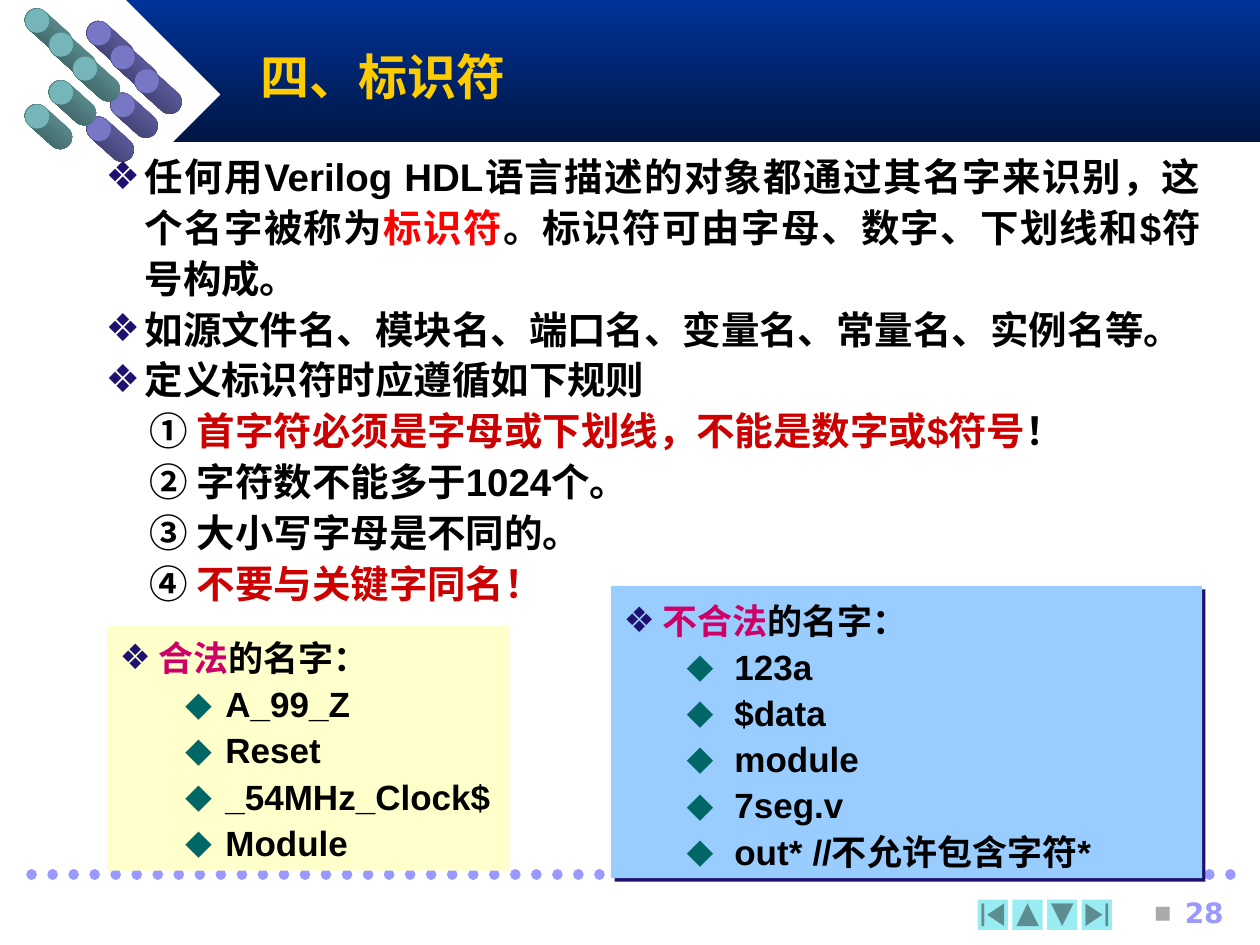
from typing import NamedTuple, Optional
from lxml.etree import SubElement as Sub
from pptx import Presentation
from pptx.dml.color import RGBColor as RGB
from pptx.enum.dml import MSO_LINE as Dash
from pptx.enum.shapes import MSO_CONNECTOR as Conn, MSO_SHAPE as Geo
from pptx.enum.text import MSO_ANCHOR as Anchor, PP_ALIGN as Align
from pptx.oxml.ns import qn
from pptx.util import Inches, Pt

WHITE = RGB(255, 255, 255)
BLACK = RGB(0, 0, 0)
NAVY = RGB(0x00, 0x33, 0x99)
NIGHT = RGB(0x00, 0x16, 0x44)
LILAC = RGB(0x99, 0x99, 0xFF)
AQUA = RGB(0x98, 0xEC, 0xF2)
GOLD = RGB(0xFF, 0xCC, 0x00)
RED = RGB(0xFF, 0, 0)
BRICK = RGB(0xCC, 0, 0)
PINK = RGB(0xCC, 0, 0x66)
INDIGO = RGB(0x1E, 0x11, 0x6F)
GREEN = RGB(0, 0x66, 0x66)
SKY = RGB(0x99, 0xCC, 0xFF)
CREAM = RGB(0xFF, 0xFF, 0xCC)
GREY = RGB(0xAA, 0xAA, 0xAA)
HAN = "Noto Sans CJK SC"


class Tone(NamedTuple):
    face: RGB
    light: RGB
    dark: RGB


class Mark(NamedTuple):
    char: str
    color: RGB
    size: int = 100


class Run(NamedTuple):
    text: str
    color: RGB = BLACK


class Para(NamedTuple):
    runs: list
    left: float = 0
    hang: float = 0
    mark: Optional[Mark] = None
    align: Align = Align.LEFT
    space: float = 1.1


TEAL = Tone(RGB(0x76, 0xB6, 0xBA), RGB(0x70, 0xA8, 0xAC), RGB(0x2C, 0x4C, 0x4E))
PLUM = Tone(RGB(0x77, 0x77, 0xC6), RGB(0x70, 0x70, 0xBC), RGB(0x30, 0x30, 0x58))
CROSS = Mark("❖", INDIGO)
GEM = Mark("⬥", GREEN, 110)


def put(item, values: dict) -> None:
    for name, value in values.items():
        setattr(item, name, value)


def box(at: tuple):
    return [Inches(v) for v in at]


def shape(slide, geo: Geo, at: tuple, color: RGB, turn: float = 0):
    item = slide.shapes.add_shape(geo, *box(at))
    item.fill.solid()
    item.fill.fore_color.rgb = color
    item.line.fill.background()
    item.shadow.inherit = False
    item.rotation = turn
    return item


def fade(item, angle: float, first: RGB, last: RGB) -> None:
    item.fill.gradient()
    item.fill.gradient_angle = angle
    for stop, pos, color in zip(item.fill.gradient_stops, (0, 1), (first, last)):
        stop.position = pos
        stop.color.rgb = color


def rod(slide, x: float, y: float, tone: Tone) -> None:
    size, long, dx, dy = 0.19, 0.44, 0.09, 0.08
    mid = x + size / 2 + dx
    body = shape(slide, Geo.ROUNDED_RECTANGLE,
                 (mid - long / 2, y + dy, long, size), tone.light, 42)
    body.adjustments[0] = 0.5
    fade(body, 270, tone.light, tone.dark)
    shape(slide, Geo.OVAL, (x, y, size, size), tone.face)


def bullet(para, mark: Mark) -> None:
    props = para._p.get_or_add_pPr()
    Sub(Sub(props, qn("a:buClr")), qn("a:srgbClr"), val=str(mark.color))
    Sub(props, qn("a:buSzPct"), val=str(mark.size * 1000))
    Sub(props, qn("a:buFont"), typeface="DejaVu Sans")
    Sub(props, qn("a:buChar"), char=mark.char)


def write(item, paras: list, size: float, font: str = "Arial",
          anchor: Anchor = Anchor.TOP) -> None:
    frame = item.text_frame
    put(frame, {"word_wrap": True, "vertical_anchor": anchor})
    for num, data in enumerate(paras):
        para = frame.add_paragraph() if num else frame.paragraphs[0]
        props = para._p.get_or_add_pPr()
        props.set("marL", str(Inches(data.left)))
        props.set("indent", str(Inches(-data.hang)))
        if data.mark:
            bullet(para, data.mark)
        put(para, {"alignment": data.align, "line_spacing": data.space})
        for part in data.runs:
            run = para.add_run()
            run.text = part.text
            put(run.font, {"size": Pt(size), "bold": True, "name": font})
            run.font.color.rgb = part.color
            Sub(run._r.get_or_add_rPr(), qn("a:ea"), typeface=HAN)


def text(slide, at: tuple, *args, **kind) -> None:
    write(slide.shapes.add_textbox(*box(at)), *args, **kind)


def point(*runs: Run) -> Para:
    return Para(list(runs), 0.31, 0.31, CROSS, Align.JUSTIFY)


def rule(*runs: Run) -> Para:
    return Para(list(runs), 0.35)


def names(head: str, items: list, left: float, hang: float) -> list:
    rows = [Para([Run(item)], left, hang, GEM, Align.JUSTIFY) for item in items]
    return [point(Run(head, PINK), Run("的名字："))] + rows


def shade(item) -> None:
    fx = item._element.spPr.find(qn("a:effectLst"))
    cast = Sub(fx, qn("a:outerShdw"), dist=str(Pt(2.8)), dir="2700000",
               algn="ctr", rotWithShape="0")
    Sub(cast, qn("a:srgbClr"), val=str(INDIGO))


def banner(slide) -> None:
    band = shape(slide, Geo.RECTANGLE, (1, 0, 9, 1.13), NAVY)
    fade(band, 270, NAVY, NIGHT)
    shape(slide, Geo.DIAMOND, (0.25, 0, 1.5, 1.5), WHITE)
    for x, y, tone in ((0.69, 0.17, PLUM), (0.2, 0.07, TEAL)):
        for row, col in enumerate((0, 1, 2, 1, 0)):
            rod(slide, x + col * 0.19, y + row * 0.19, tone)
    text(slide, (1.97, 0.23, 8, 0.74), [Para([Run("四、标识符", GOLD)], space=1)],
         28, anchor=Anchor.MIDDLE)


def footer(slide) -> None:
    line = slide.shapes.add_connector(Conn.STRAIGHT, *box((0.25, 6.94, 9.83, 6.94)))
    put(line.line, {"width": Pt(6), "dash_style": Dash.ROUND_DOT})
    line.line.color.rgb = LILAC
    line.line._ln.set("cap", "rnd")
    Sub(line._element.spPr, qn("a:effectLst"))
    keys = ((Geo.ACTION_BUTTON_BEGINNING, 0), (Geo.ACTION_BUTTON_BACK_OR_PREVIOUS, 90),
            (Geo.ACTION_BUTTON_FORWARD_OR_NEXT, 90), (Geo.ACTION_BUTTON_END, 0))
    for num, (geo, turn) in enumerate(keys):
        shape(slide, geo, (7.76 + num * 0.275, 7.14, 0.24, 0.24), AQUA, turn)
    page = Para([Run("28", LILAC)], 0.25, 0.25, Mark("▪", GREY), Align.RIGHT, 1)
    text(slide, (8.86, 7.06, 0.95, 0.33), [page], 16, "DejaVu Sans")


def main() -> None:
    deck = Presentation()
    put(deck, {"slide_width": Inches(10), "slide_height": Inches(7.5)})
    slide = deck.slides.add_slide(deck.slide_layouts[6])
    banner(slide)
    footer(slide)
    text(slide, (0.74, 1.13, 8.89, 4.07), [
        point(Run("任何用Verilog HDL语言描述的对象都通过其名字来识别，这个名字被称为"),
              Run("标识符", RED), Run("。标识符可由字母、数字、下划线和$符号构成。")),
        point(Run("如源文件名、模块名、端口名、变量名、常量名、实例名等。")),
        point(Run("定义标识符时应遵循如下规则")),
        rule(Run("① "), Run("首字符必须是字母或下划线，不能是数字或$符号", BRICK), Run("！")),
        rule(Run("② 字符数不能多于1024个。")),
        rule(Run("③ 大小写字母是不同的。")),
        rule(Run("④ "), Run("不要与关键字同名！", BRICK)),
    ], 22)
    bad = shape(slide, Geo.RECTANGLE, (4.85, 4.65, 4.69, 2.32), SKY)
    shade(bad)
    wrong = ["123a", "$data", "module", "7seg.v", "out*\t//不允许包含字符*"]
    write(bad, names("不合法", wrong, 0.88, 0.38), 20, anchor=Anchor.BOTTOM)
    good = shape(slide, Geo.RECTANGLE, (0.85, 4.97, 3.19, 1.94), CREAM)
    right = ["A_99_Z", "Reset", "_54MHz_Clock$", "Module"]
    write(good, names("合法", right, 0.84, 0.32), 20)
    deck.save("out.pptx")


if __name__ == "__main__":
    main()
